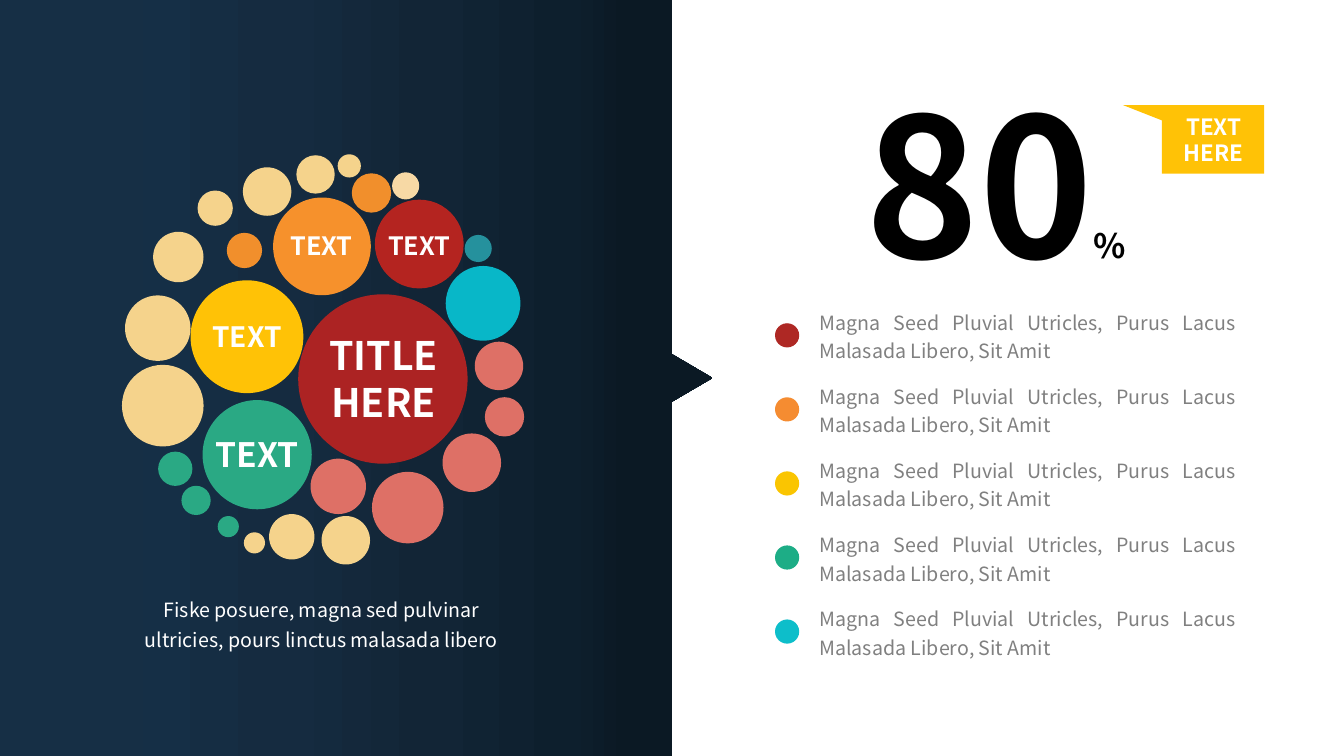
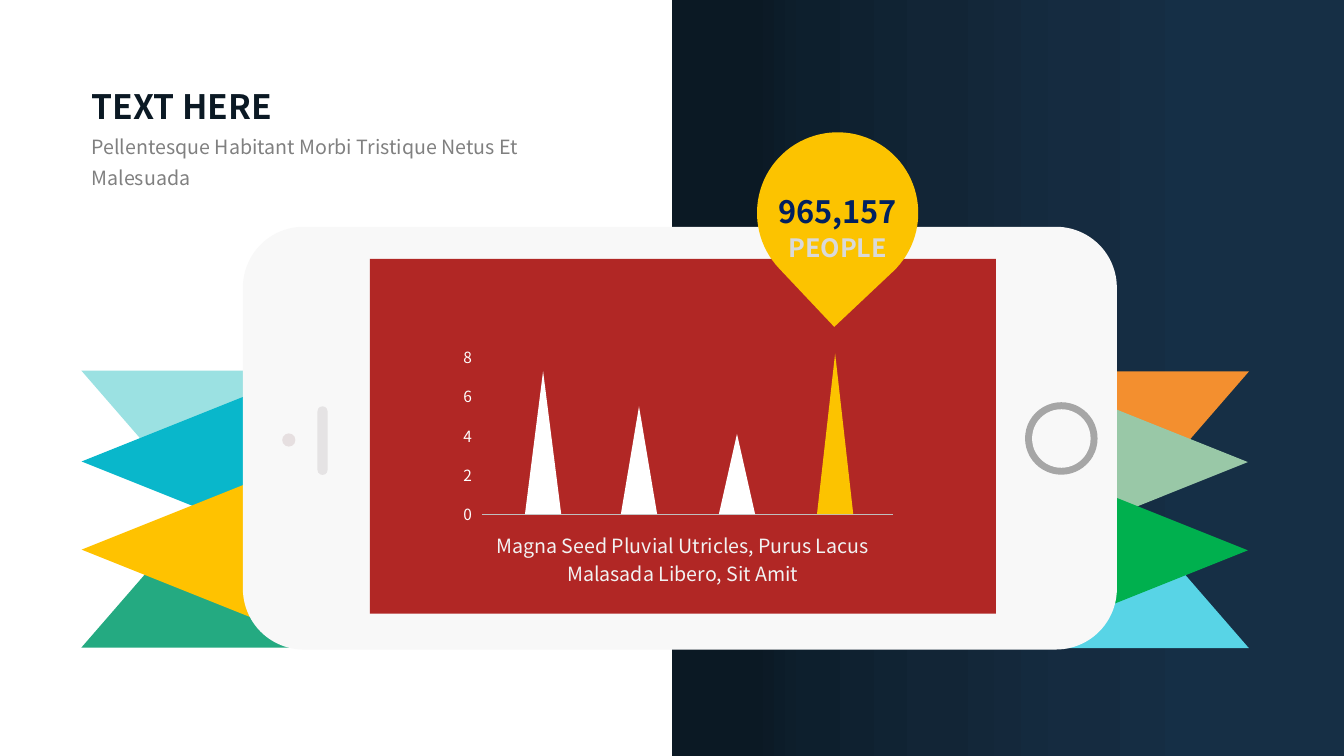
from pptx import Presentation
from pptx.dml.color import RGBColor
from pptx.enum.shapes import MSO_CONNECTOR, MSO_SHAPE
from pptx.enum.text import MSO_ANCHOR, MSO_AUTO_SIZE, PP_ALIGN
from pptx.oxml.ns import qn
from pptx.util import Pt
from lxml import etree

RECT, ROUNDED, OVAL = MSO_SHAPE.RECTANGLE, MSO_SHAPE.ROUNDED_RECTANGLE, MSO_SHAPE.OVAL
TRIANGLE, TEAR = MSO_SHAPE.ISOSCELES_TRIANGLE, MSO_SHAPE.TEAR
LEFT, CENTER, RIGHT, JUSTIFY = PP_ALIGN.LEFT, PP_ALIGN.CENTER, PP_ALIGN.RIGHT, PP_ALIGN.JUSTIFY
TOP, FIT = MSO_ANCHOR.TOP, MSO_AUTO_SIZE.SHAPE_TO_FIT_TEXT

THEME = {
    "font": "Noto Sans CJK SC",
    "size": {"axis": 11, "body": 14, "tag": 16, "label": 18, "medium": 20,
             "count": 22, "head": 24, "title": 28, "huge": 138},
    "color": {
        "white": "FFFFFF", "black": "000000", "gray": "808080", "dark": "0B1924",
        "navy": "002060", "silver": "D9D9D9", "pale": "F2F2F2", "rule": "BFBFBF",
        "crimson": "AC2323", "red": "B42420", "salmon": "DE7066", "green": "2AA984",
        "yellow": "FFC206", "orange": "F6912C", "amber": "F18F2C", "sand": "F5D38C",
        "cream": "F7D9A5", "cyan": "08B7C8", "teal": "25919D", "gold": "FCC300",
        "phone": "F8F8F8", "screen": "B12725", "button": "A6A6A6",
        "camera": "E6DFE0", "speaker": "E5E3E4",
    },
    "gradient": [(0, "162F45"), (20, "152F46"), (40, "152B40"),
                 (60, "122536"), (80, "0D1F2D"), (88, "0B1924")],
    "bullets": ["AE2824", "F58C31", "FAC501", "1DAD86", "0DBECA"],
    "left_bands": ["24AA81", "9BE1E2", "09B7CB", "FFC200"],
    "right_bands": ["58D4E6", "F38F2F", "99C8A7", "00B04E"],
}
C, Z = THEME["color"], THEME["size"]
SAMPLE = "Magna Seed Pluvial Utricles, Purus Lacus Malasada Libero, Sit Amit"


def add_shape(s, kind, x, y, w, h, color, rotation=0, adj=None):
    sp = s.shapes.add_shape(kind, Pt(x), Pt(y), Pt(w), Pt(h))
    sp.shadow.inherit = False
    sp.fill.solid()
    sp.fill.fore_color.rgb = RGBColor.from_string(color)
    sp.line.fill.background()
    sp.rotation = rotation
    if adj is not None:
        sp.adjustments[0] = adj
    return sp


def add_text(s, x, y, w, h, runs, color, bold=False, align=LEFT, spacing=1.0, title=False):
    box = (Pt(x), Pt(y), Pt(w), Pt(h))
    if title:
        sp = s.shapes.title
        sp.left, sp.top, sp.width, sp.height = box
        s.shapes.element.append(sp.element)
    else:
        sp = s.shapes.add_textbox(*box)
    tf = sp.text_frame
    for name, value in {"word_wrap": True, "auto_size": FIT, "vertical_anchor": TOP}.items():
        setattr(tf, name, value)
    p = tf.paragraphs[0]
    p.alignment, p.line_spacing = align, spacing
    for text, size in runs:
        r = p.add_run()
        r.text = text
        for name, value in {"name": THEME["font"], "size": Pt(size), "bold": bold}.items():
            setattr(r.font, name, value)
        r.font.color.rgb = RGBColor.from_string(color)


prs = Presentation()
prs.slide_width, prs.slide_height = Pt(960), Pt(540)
bubbles, phone = [prs.slides.add_slide(prs.slide_layouts[5]) for _ in range(2)]

outline = bubbles.shapes.build_freeform(0, 0, scale=Pt(1))
outline.add_line_segments([(480, 0), (480, 253), (509, 270), (480, 287), (480, 540), (0, 540)])
panels = [(outline.convert_to_shape(), 0),
          (add_shape(phone, RECT, 480, 0, 480, 540, C["dark"]), 180)]
for panel, angle in panels:
    panel.shadow.inherit = False
    panel.line.fill.background()
    panel.fill.gradient()
    panel.fill.gradient_angle = angle
    stops = panel.element.spPr.find(qn("a:gradFill")).find(qn("a:gsLst"))
    for stop in list(stops):
        stops.remove(stop)
    for percent, color in THEME["gradient"]:
        stop = etree.SubElement(stops, qn("a:gs"), pos=str(percent * 1000))
        etree.SubElement(stop, qn("a:srgbClr"), val=color)

s = bubbles
circles = {
    "crimson": [(213, 210.2, 121)],
    "green": [(144.7, 285.8, 78), (155.5, 368.6, 15.1), (129.6, 347, 20.9), (113, 322.6, 24.5)],
    "yellow": [(136.1, 200.2, 80.6)],
    "orange": [(195.1, 141.1, 69.8)],
    "red": [(267.8, 142.6, 63.4)],
    "cyan": [(318.4, 190, 53.4)],
    "salmon": [(339.1, 244.1, 34.6), (346.3, 283.7, 28.1), (316.1, 309.6, 41.8),
               (265.7, 337, 51.1), (221.8, 327.6, 39.6)],
    "sand": [(229.7, 368.6, 34.6), (192.2, 367.2, 32.4), (174.2, 380.2, 15.1),
             (87.1, 260.6, 58.3), (89.3, 211, 46.8), (109.4, 165.6, 36),
             (141.1, 136.1, 25.2), (173.5, 119.5, 34.6), (211.7, 110.9, 27.4),
             (241.2, 110.2, 16.6)],
    "amber": [(162, 166.3, 25.2), (251.3, 123.8, 28.1)],
    "cream": [(280.1, 123.1, 19.4)],
    "teal": [(331.9, 167.8, 19.4)],
}
for name, places in circles.items():
    for x, y, d in places:
        add_shape(s, OVAL, x, y, d, d, C[name])

add_text(s, 221.8, 233.3, 104.4, 75, [("TITLE HERE", Z["title"])], C["white"], True, CENTER,
         title=True)
for x, y, w, h, size in [(266.4, 161.3, 66.2, 29, "label"), (196.6, 161.3, 66.2, 29, "label"),
                         (143.3, 224.6, 66.2, 31.5, "medium"), (144.7, 306.7, 78, 36, "head")]:
    add_text(s, x, y, w, h, [("TEXT", Z[size])], C["white"], True, CENTER)
add_text(s, 86.4, 418.3, 286.6, 50,
         [("Fiske posuere, magna sed pulvinar ultricies, pours linctus malasada libero", Z["body"])],
         C["white"], align=CENTER, spacing=1.3)

add_text(s, 611.3, 43.2, 247, 174, [("80", Z["huge"]), ("%", Z["head"])], C["black"], True)
outline = s.shapes.build_freeform(802, 75, scale=Pt(1))
outline.add_line_segments([(903, 75), (903, 124.5), (829.5, 124.5), (829.5, 85.7)])
flag = outline.convert_to_shape()
flag.shadow.inherit = False
flag.fill.solid()
flag.fill.fore_color.rgb = RGBColor.from_string(C["yellow"])
flag.line.fill.background()
add_text(s, 831.6, 77, 70.6, 46, [("TEXT HERE", Z["tag"])], C["white"], True, CENTER)

for i, color in enumerate(THEME["bullets"]):
    y = 215.3 + 52.9 * i
    add_shape(s, OVAL, 553.6, y + 15.6, 17.3, 17.3, color)
    add_text(s, 578.2, y, 311.8, 48.2, [(SAMPLE, Z["body"])], C["gray"],
             align=JUSTIFY, spacing=1.2)

s = phone
sides = [(738.7, 774.7, 265.3, 0.604, 90, THEME["right_bands"]),
         (58.2, 71.3, 264.8, 0.396, 270, THEME["left_bands"])]
for fold_x, tip_x, y, adj, turn, (bottom, top, upper, lower) in sides:
    add_shape(s, TRIANGLE, fold_x, y + 127.7, 153.4, 70, bottom, adj=adj)
    add_shape(s, TRIANGLE, fold_x, y, 153.4, 70, top, 180, 1 - adj)
    add_shape(s, TRIANGLE, tip_x, y, 103.7, 129.6, upper, turn)
    add_shape(s, TRIANGLE, tip_x, y + 63, 103.7, 129.6, lower, turn)

add_shape(s, ROUNDED, 173.5, 162, 624.3, 302, C["phone"], adj=0.144)
add_shape(s, OVAL, 732.2, 287.3, 51.8, 51.8, C["button"])
add_shape(s, OVAL, 737.2, 292.3, 41.8, 41.8, C["phone"])
add_shape(s, OVAL, 201.6, 309.6, 9.4, 9.4, C["camera"])
add_shape(s, ROUNDED, 226.8, 290.2, 7.2, 49, C["speaker"], adj=0.5)
add_shape(s, RECT, 264.2, 185, 447.1, 253.4, C["screen"])

base, unit = 367.3, 14
axis = s.shapes.add_connector(MSO_CONNECTOR.STRAIGHT, Pt(344.2), Pt(base), Pt(638), Pt(base))
axis.line.color.rgb = RGBColor.from_string(C["rule"])
axis.line.width = Pt(0.25)
etree.SubElement(axis.element.spPr, qn("a:effectLst"))
for x, value, color in [(375, 7.3, "white"), (443.5, 5.5, "white"),
                        (513.5, 4.1, "white"), (583.6, 8.2, "gold")]:
    add_shape(s, TRIANGLE, x, base - value * unit, 25.9, value * unit, C[color])
for tick in range(0, 10, 2):
    add_text(s, 319, 357.2 - tick * unit, 25.2, 21, [(str(tick), Z["axis"])], C["white"],
             align=RIGHT)
add_text(s, 331.9, 374.4, 311.8, 48.2, [(SAMPLE, Z["body"])], C["pale"],
         align=CENTER, spacing=1.2)

add_shape(s, TEAR, 540.7, 94.5, 115.2, 115.2, C["gold"], 136.7)
add_text(s, 545.8, 134, 105.1, 33.8, [("965,157", Z["count"])], C["navy"], True, CENTER)
add_text(s, 545.8, 162.7, 105.1, 29, [("PEOPLE", Z["label"])], C["silver"], True, CENTER)

add_text(s, 58.3, 57.6, 158.4, 36, [("TEXT HERE", Z["head"])], C["dark"], True, title=True)
add_text(s, 58.3, 87.8, 324, 51,
         [("Pellentesque Habitant Morbi Tristique Netus Et Malesuada", Z["body"])],
         C["gray"], spacing=1.3)

prs.save("out.pptx")
